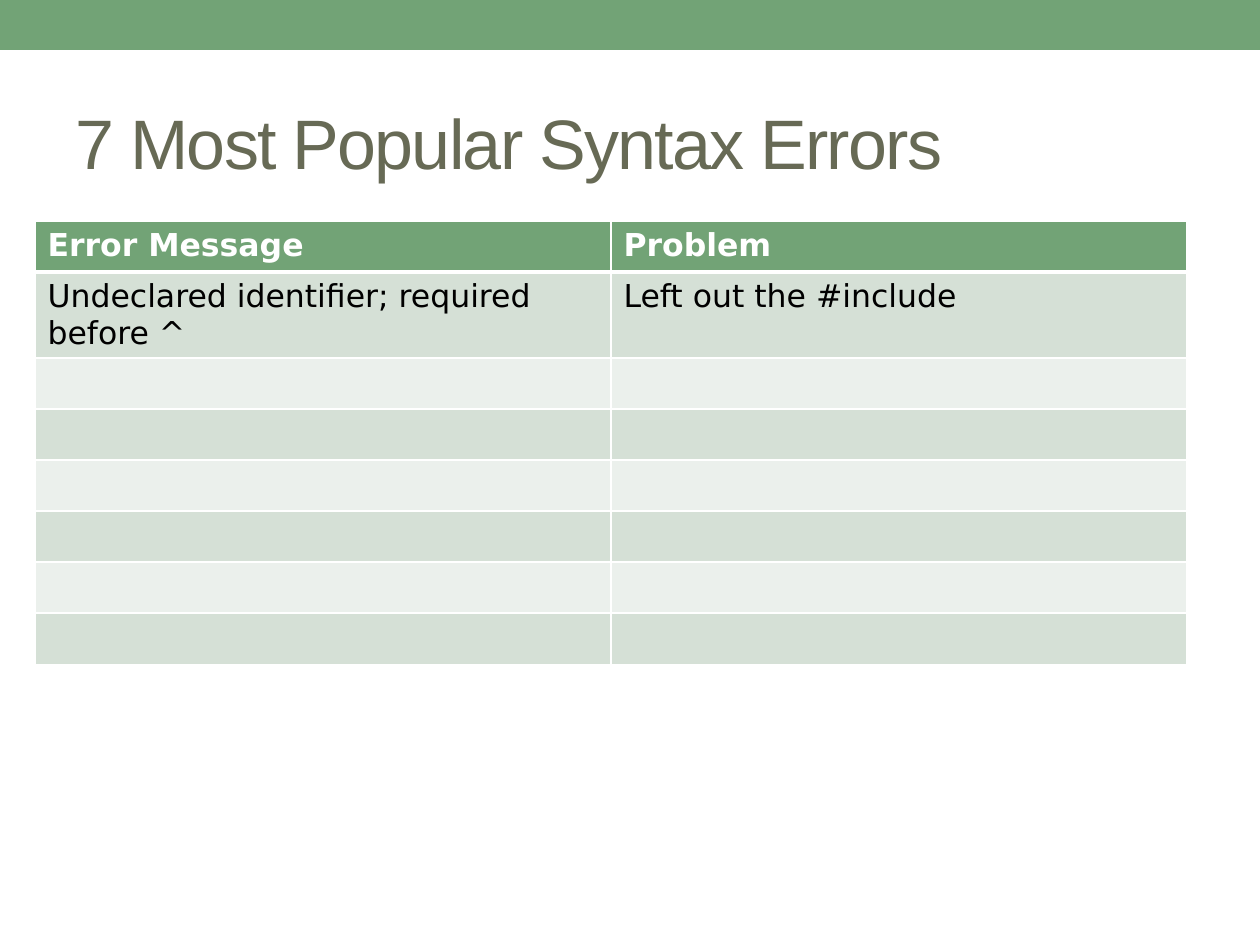
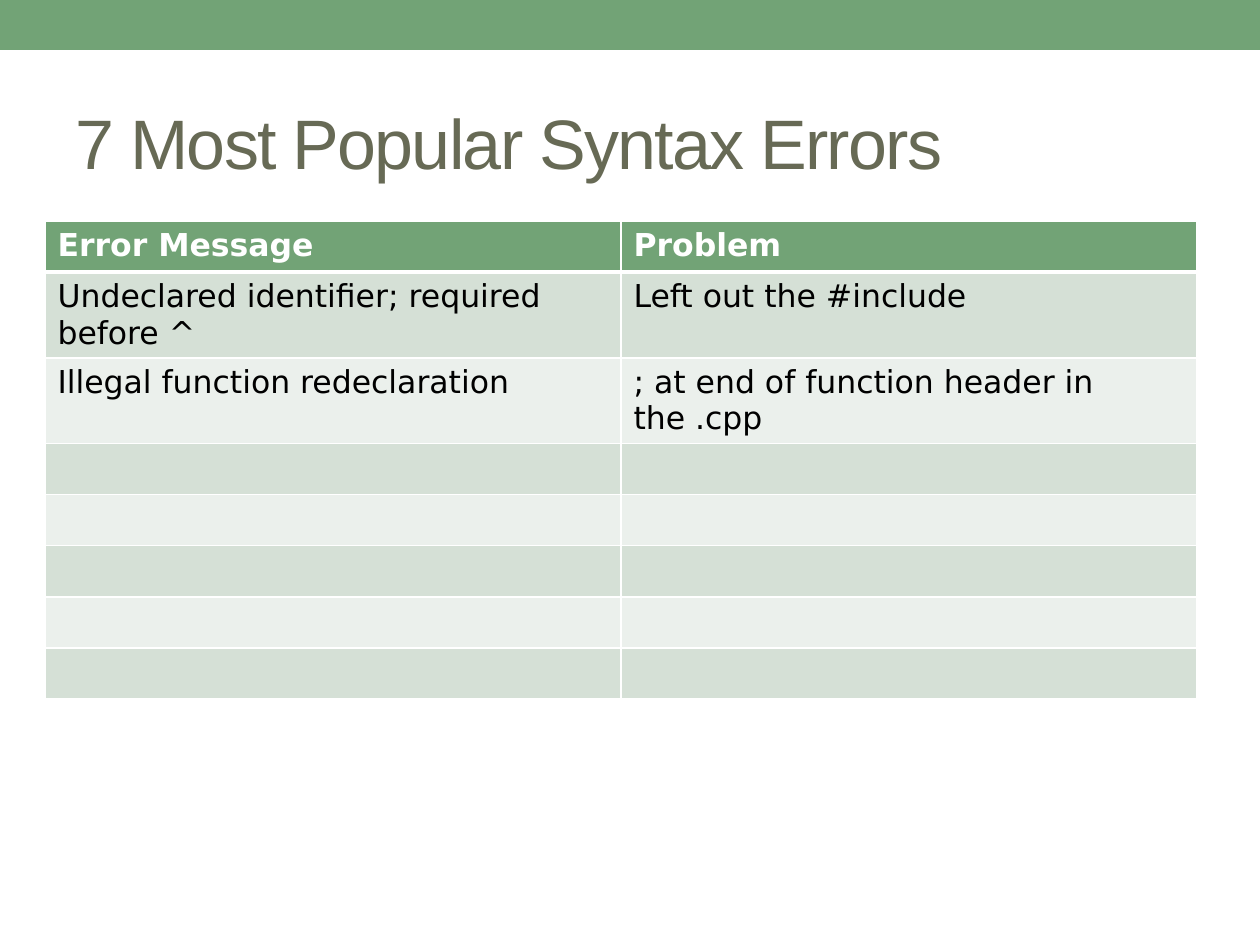
from lxml import etree
from pptx import Presentation
from pptx.dml.color import RGBColor
from pptx.enum.shapes import MSO_SHAPE
from pptx.enum.text import MSO_ANCHOR, PP_ALIGN
from pptx.oxml.ns import qn
from pptx.util import Pt

RECTANGLE = MSO_SHAPE.RECTANGLE
MIDDLE = MSO_ANCHOR.MIDDLE
LEFT = PP_ALIGN.LEFT

TITLE = "7 Most Popular Syntax Errors"
HEADER = ("Error Message", "Problem")
ERRORS = [
    ("Undeclared identifier; required before ^", "Left out the #include"),
    ("Illegal function redeclaration", "; at end of function header in the .cpp"),
]
ERROR_ROWS = 7
# Each page reveals one more error: (errors shown, left edge of the table)
PAGES = [(1, 35), (2, 45)]

COLORS = {
    "green": "72A376",
    "title": "676A55",
    "white": "FFFFFF",
    "black": "000000",
    "dark_row": "D5E0D6",
    "light_row": "EBF0EC",
}
TITLE_FONT, TABLE_FONT = "Arial", "DejaVu Sans"

EMU_PER_PIXEL = 914400 / 126
PAGE_WIDTH, PAGE_HEIGHT = 1260, 945
BAND_HEIGHT = 50
TITLE_BOX = (63, 73, 1134, 136)
TABLE_TOP, COLUMN_WIDTH, ROW_HEIGHT = 221, 576, 51


def px(pixels):
    """Turn pixels into EMU."""
    return round(pixels * EMU_PER_PIXEL)


def color(name):
    """Look up a named colour."""
    return RGBColor.from_string(COLORS[name])


def style_text(frame, font, size, color_name, bold=False):
    """Format every run of a text frame."""
    for para in frame.paragraphs:
        for span in para.runs:
            span.font.name = font
            span.font.size = Pt(size)
            span.font.bold = bold
            span.font.color.rgb = color(color_name)


def set_up_layout(layout, page):
    """Put the green band and the title position on the shared layout."""
    band = page.shapes.add_shape(RECTANGLE, 0, 0, px(PAGE_WIDTH), px(BAND_HEIGHT))
    band.shadow.inherit = False
    band.fill.solid()
    band.fill.fore_color.rgb = color("green")
    band.line.fill.background()
    title = layout.placeholders[0]
    title.element.addprevious(band.element)
    title.left, title.top, title.width, title.height = map(px, TITLE_BOX)


def add_title(page):
    """Fill the title placeholder."""
    frame = page.shapes.title.text_frame
    frame.text = TITLE
    frame.vertical_anchor = MIDDLE
    frame.paragraphs[0].alignment = LEFT
    style_text(frame, TITLE_FONT, 40, "title")
    frame.paragraphs[0].runs[0].font._element.set("spc", "-100")


def set_borders(cell, bottom_width, top_width):
    """Draw white lines around a cell, widths in points."""
    properties = cell._tc.get_or_add_tcPr()
    widths = {"lnL": 1, "lnR": 1, "lnT": top_width, "lnB": bottom_width}
    for position, (tag, width) in enumerate(widths.items()):
        line = etree.Element(qn("a:" + tag), w=str(Pt(width)))
        fill = etree.SubElement(line, qn("a:solidFill"))
        etree.SubElement(fill, qn("a:srgbClr"), val=COLORS["white"])
        properties.insert(position, line)


def add_error_table(page, shown, left):
    """Add the table with the first errors filled in and the rest empty."""
    blanks = [("", "")] * (ERROR_ROWS - shown)
    rows = [HEADER] + ERRORS[:shown] + blanks
    columns = len(HEADER)
    table = page.shapes.add_table(
        len(rows), columns, px(left), px(TABLE_TOP),
        px(COLUMN_WIDTH * columns), px(ROW_HEIGHT * len(rows))).table
    for column in table.columns:
        column.width = px(COLUMN_WIDTH)
    for row_index, texts in enumerate(rows):
        table.rows[row_index].height = px(ROW_HEIGHT)
        is_header = row_index == 0
        row_color = "dark_row" if row_index % 2 else "light_row"
        for column_index, text in enumerate(texts):
            cell = table.cell(row_index, column_index)
            cell.fill.solid()
            cell.fill.fore_color.rgb = color("green" if is_header else row_color)
            set_borders(cell, 3 if is_header else 1, 3 if row_index == 1 else 1)
            if text:
                cell.text_frame.text = text
                style_text(cell.text_frame, TABLE_FONT, 18,
                           "white" if is_header else "black", is_header)


def build():
    """Build and save the deck."""
    deck = Presentation()
    deck.slide_width, deck.slide_height = px(PAGE_WIDTH), px(PAGE_HEIGHT)
    layout = deck.slide_layouts.get_by_name("Title Only")
    for number, (shown, left) in enumerate(PAGES):
        page = deck.slides.add_slide(layout)
        if number == 0:
            set_up_layout(layout, page)
        add_title(page)
        add_error_table(page, shown, left)
    deck.save("out.pptx")


build()
